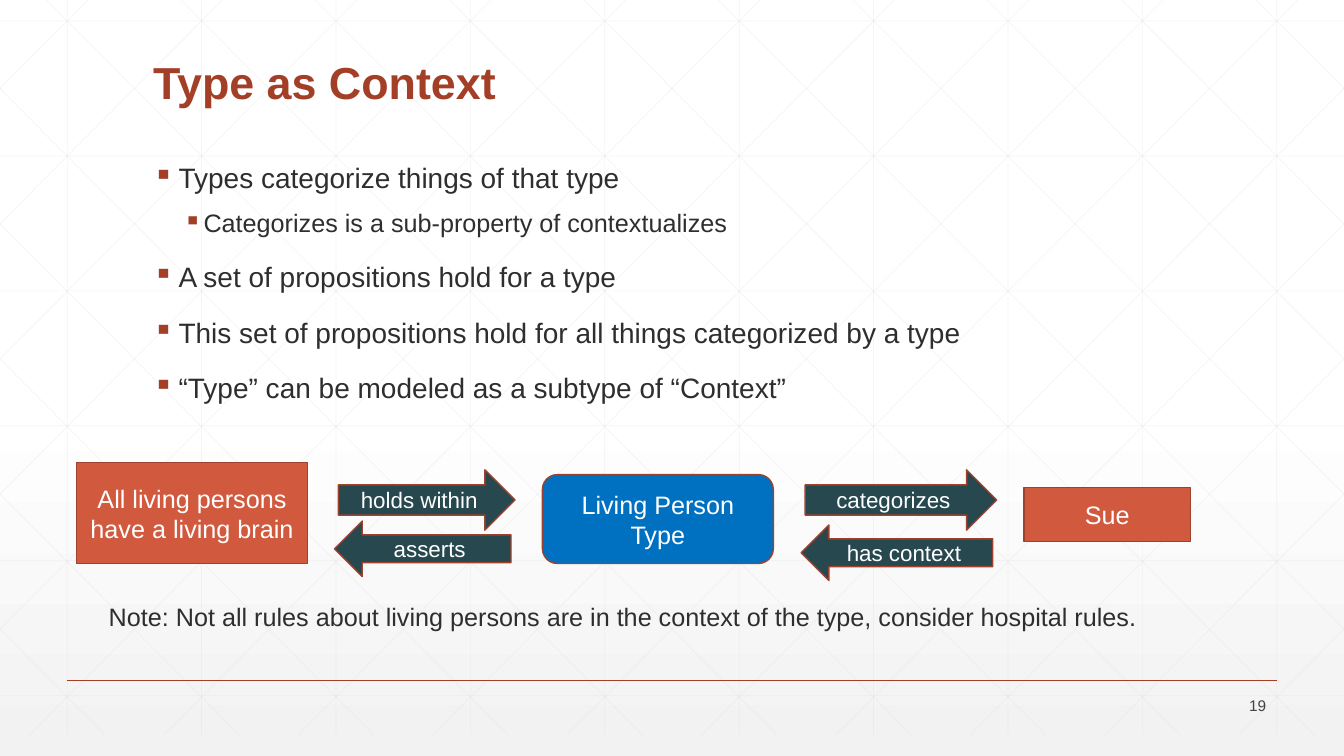
import dataclasses

import lxml.etree
import pptx
import pptx.dml.color
import pptx.enum.shapes
import pptx.enum.text
import pptx.oxml.ns
import pptx.util

Cm = pptx.util.Cm
Pt = pptx.util.Pt
qn = pptx.oxml.ns.qn
color_of = pptx.dml.color.RGBColor.from_string
SHAPE = pptx.enum.shapes.MSO_SHAPE
ALIGN = pptx.enum.text.PP_ALIGN
ANCHOR = pptx.enum.text.MSO_ANCHOR


@dataclasses.dataclass(frozen=True)
class Theme:
    font: str = "Arial"
    accent: str = "A43F27"
    text: str = "2D2E2D"
    number: str = "424342"
    white: str = "FFFFFF"
    shade: str = "F2F2F2"
    grid: str = "D9D9D9"
    outline: str = "9B432E"
    individual: str = "D15A3E"
    kind: str = "0070C0"
    relation: str = "284850"
    title_size: int = 32
    body_size: int = 20
    label_size: int = 18
    arrow_size: int = 16
    number_size: int = 11


theme = Theme()
WIDTH, HEIGHT = 33.87, 19.05


def write(frame, text, *, size, color, bold=False, align=ALIGN.LEFT,
          line_spacing=None, space_before=None, level=0, bullet=None):
    """Add a paragraph; bullet is a pair of left margin and hang in cm."""
    para = frame.paragraphs[0]
    if para.runs:
        para = frame.add_paragraph()
    para.alignment = align
    para.level = level
    if line_spacing:
        para.line_spacing = line_spacing
    if space_before:
        para.space_before = Pt(space_before)
    if bullet:
        margin, hang = bullet
        properties = para._p.get_or_add_pPr()
        properties.set("marL", str(Cm(margin)))
        properties.set("indent", str(-Cm(hang)))
        bullet_color = lxml.etree.SubElement(properties, qn("a:buClr"))
        lxml.etree.SubElement(bullet_color, qn("a:srgbClr"), val=theme.accent)
        lxml.etree.SubElement(properties, qn("a:buChar"), char="▪")
    span = para.add_run()
    span.text = text
    span.font.name = theme.font
    span.font.size = Pt(size)
    span.font.bold = bold
    span.font.color.rgb = color_of(color)


def draw_line(shapes, start, end, color, weight, opacity=None):
    line = shapes.add_connector(pptx.enum.shapes.MSO_CONNECTOR.STRAIGHT,
                                *(Cm(value) for value in start + end))
    line.line.color.rgb = color_of(color)
    line.line.width = Pt(weight)
    if opacity:
        paint = line._element.spPr.find(".//" + qn("a:srgbClr"))
        lxml.etree.SubElement(paint, qn("a:alpha"), val=str(opacity * 1000))
    lxml.etree.SubElement(line._element.spPr, qn("a:effectLst"))


deck = pptx.Presentation()
deck.slide_width, deck.slide_height = Cm(WIDTH), Cm(HEIGHT)
page = deck.slides.add_slide(deck.slide_layouts[6])

# Background fading to grey at the bottom
backdrop = page.background.fill
backdrop.gradient()
backdrop.gradient_angle = 270
for stop, position, color in zip(backdrop.gradient_stops, (0.53, 1),
                                 (theme.white, theme.shade)):
    stop.position = position
    stop.color.rgb = color_of(color)

# Faint grid: columns, rows, then mirrored diagonals clipped to the page
PITCH = WIDTH / 10
GRID_BOTTOM = 18.52
DIAGONAL_START, DIAGONAL_RUN = 1.17, 18.41
SLOPE = GRID_BOTTOM / DIAGONAL_RUN
grid_lines = []
for column in range(10):
    x = PITCH * (column + 0.5)
    grid_lines.append(((x, 0), (x, GRID_BOTTOM)))
for row in range(6):
    y = 0.53 + 3.4 * row
    grid_lines.append(((0, y), (WIDTH, y)))
for step in range(-5, 10):
    origin = DIAGONAL_START + PITCH * step
    left, right = max(origin, 0), min(origin + DIAGONAL_RUN, WIDTH)
    top, bottom = (left - origin) * SLOPE, (right - origin) * SLOPE
    grid_lines.append(((left, top), (right, bottom)))
    grid_lines.append(((WIDTH - left, top), (WIDTH - right, bottom)))
grid = page.shapes.add_group_shape()
for start, end in grid_lines:
    draw_line(grid.shapes, start, end, theme.grid, 0.5, opacity=25)

# Footer rule
draw_line(page.shapes, (1.7, 17.15), (32.17, 17.15), theme.accent, 1)

# Title, body, note and page number boxes
frames = {}
for name, place in {
    "title": (3.61, 1.4, 26.67, 3.18),
    "body": (3.61, 4.01, 26.67, 10.59),
    "note": (2.49, 15.04, 26.49, 1.02),
    "number": (29.62, 17.48, 2.54, 0.61),
}.items():
    box = page.shapes.add_textbox(*(Cm(value) for value in place))
    frames[name] = box.text_frame
    frames[name].word_wrap = name != "note"
frames["number"].vertical_anchor = ANCHOR.MIDDLE

write(frames["title"], "Type as Context", size=theme.title_size,
      color=theme.accent, bold=True, line_spacing=0.9)
write(frames["note"], "Note: Not all rules about living persons are in the "
      "context of the type, consider hospital rules.",
      size=theme.label_size, color=theme.text)
write(frames["number"], "19", size=theme.number_size, color=theme.number,
      align=ALIGN.RIGHT)

# Bullets, as level and text
bullets = [
    (0, "Types categorize things of that type"),
    (1, "Categorizes is a sub-property of contextualizes"),
    (0, "A set of propositions hold for a type"),
    (0, "This set of propositions hold for all things categorized by a type"),
    (0, "“Type” can be modeled as a subtype of “Context”"),
]
levels = [
    dict(size=theme.body_size, space_before=18, bullet=(0.64, 0.64)),
    dict(size=theme.label_size, space_before=12, bullet=(1.27, 0.51)),
]
for index, (level, text) in enumerate(bullets):
    style = dict(levels[level])
    if index == 0:
        style["space_before"] = None
    write(frames["body"], text, color=theme.text, line_spacing=0.9,
          level=level, **style)

# Diagram: things and the relations between them
thing, relation = theme.label_size, theme.arrow_size
diagram = [
    ("Living Person Type", SHAPE.FLOWCHART_ALTERNATE_PROCESS, theme.kind,
     thing, (13.67, 11.96, 5.82, 2.24)),
    ("All living persons have a living brain", SHAPE.RECTANGLE,
     theme.individual, thing, (1.93, 11.66, 5.82, 2.54)),
    ("Sue", SHAPE.RECTANGLE, theme.individual, thing,
     (25.81, 12.29, 4.19, 1.35)),
    ("holds within", SHAPE.RIGHT_ARROW, theme.relation, relation,
     (8.53, 11.84, 4.45, 1.52)),
    ("categorizes", SHAPE.RIGHT_ARROW, theme.relation, relation,
     (20.29, 11.84, 4.83, 1.52)),
    ("asserts", SHAPE.LEFT_ARROW, theme.relation, relation,
     (8.43, 13.13, 4.45, 1.4)),
    ("has context", SHAPE.LEFT_ARROW, theme.relation, relation,
     (20.19, 13.23, 4.83, 1.4)),
]
for text, outline, fill, size, place in diagram:
    shape = page.shapes.add_shape(outline, *(Cm(value) for value in place))
    shape.shadow.inherit = False
    shape.fill.solid()
    shape.fill.fore_color.rgb = color_of(fill)
    shape.line.color.rgb = color_of(theme.outline)
    shape.line.width = Pt(1)
    shape.text_frame.word_wrap = True
    shape.text_frame.vertical_anchor = ANCHOR.MIDDLE
    write(shape.text_frame, text, size=size, color=theme.white,
          align=ALIGN.CENTER)

deck.save("out.pptx")
